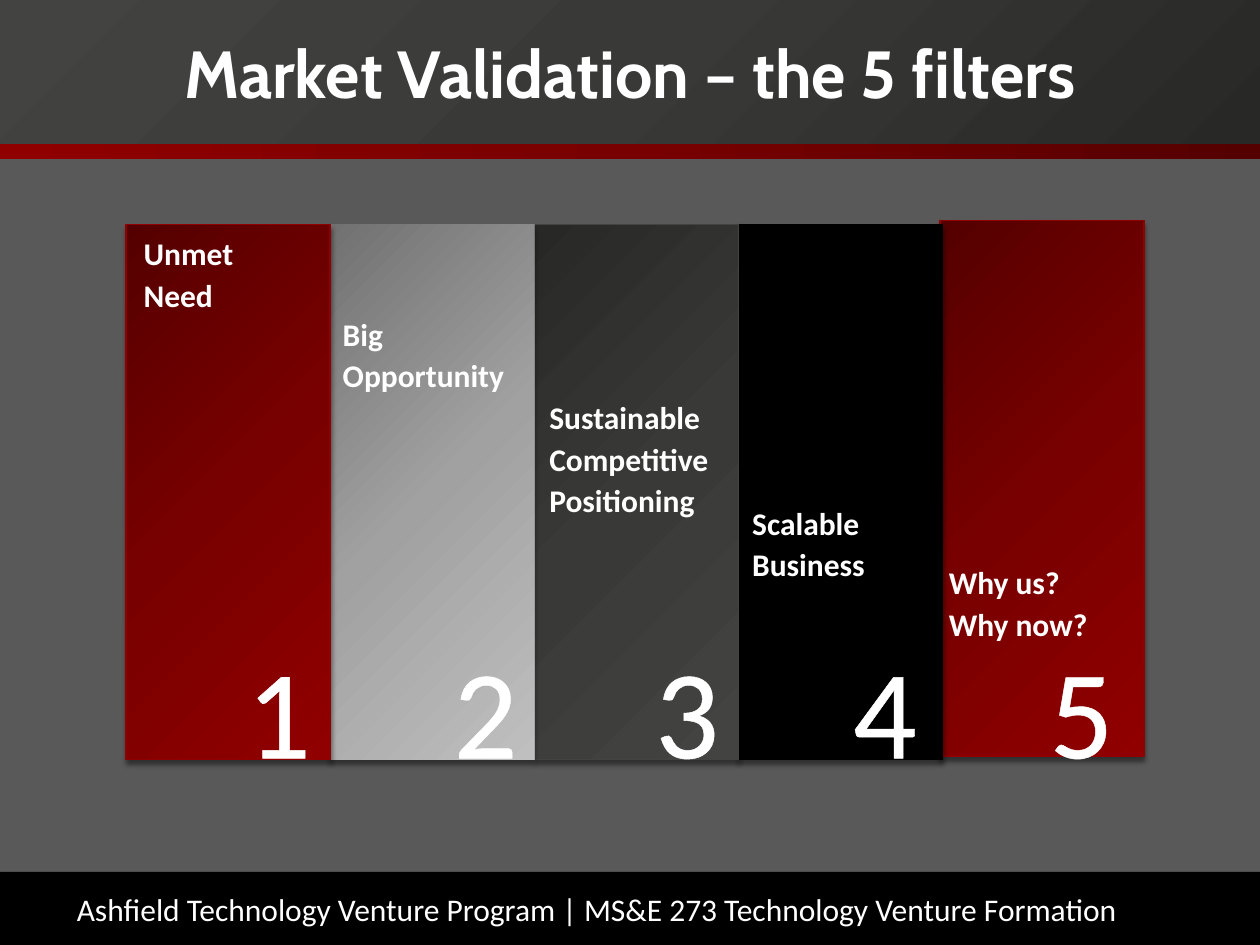
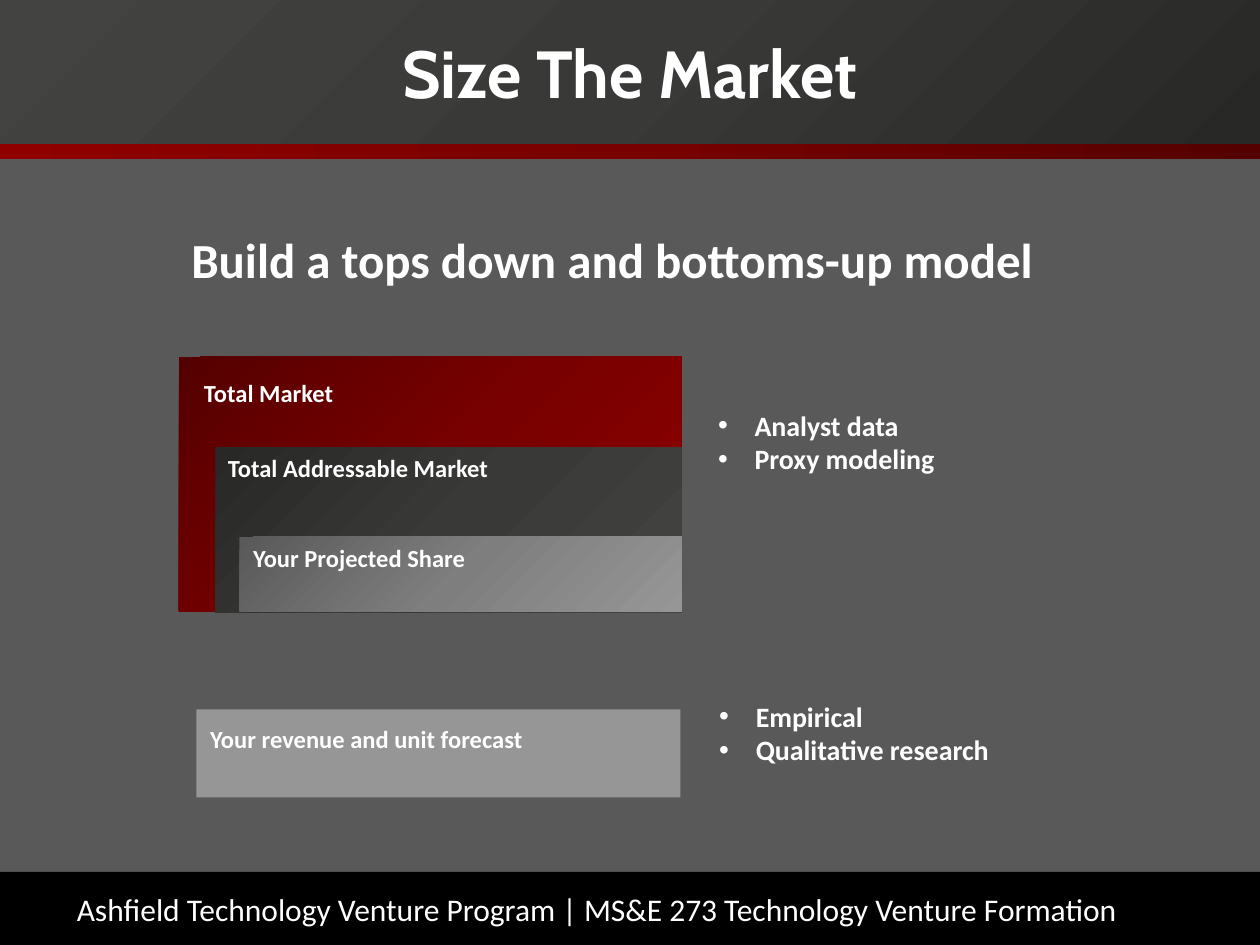
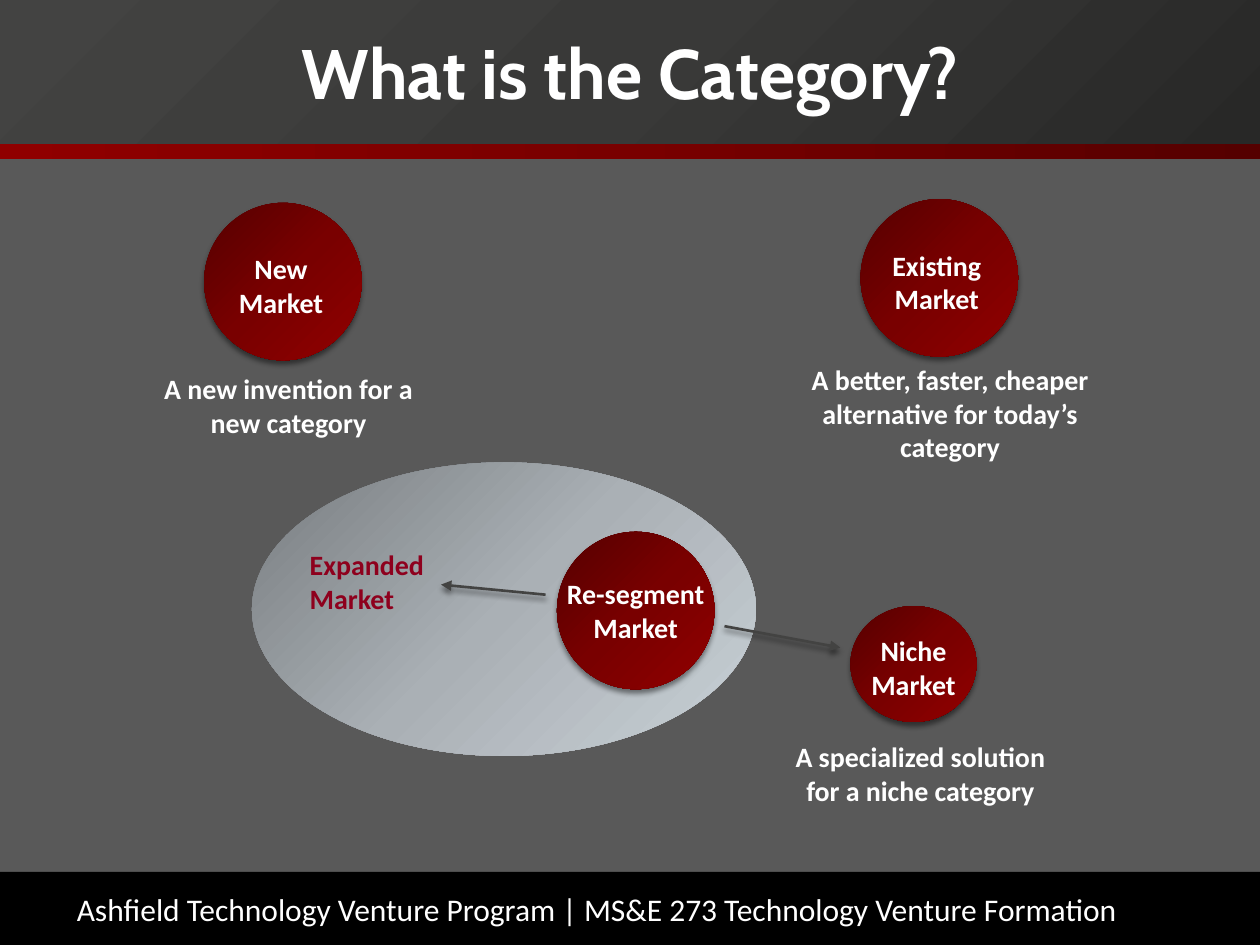
from dataclasses import dataclass

from pptx import Presentation
from pptx.dml.color import RGBColor
from pptx.enum import shapes, text
from pptx.oxml import ns, parse_xml
from pptx.util import Inches, Pt


@dataclass(frozen=True)
class Theme:
    # Colours; a tuple is a three-stop gradient
    page: str = "595959"
    white: str = "FFFFFF"
    black: str = "000000"
    wine: str = "8E001D"
    edge_red: str = "900000"
    charcoal: str = "434342"
    silver: str = "969696"
    reds: tuple = ("550000", "790000", "900000")
    darks: tuple = ("282827", "393938", "434342")
    lights: tuple = ("717171", "A1A1A1", "BFBFBF")
    greys: tuple = ("595959", "7E7E7E", "969696")
    mists: tuple = ("777C7F", "AAB0B5", "C9D1D7")
    # Fonts and type sizes
    heading_font: str = "Cabin"
    body_font: str = "Calibri"
    title: int = 38
    big_title: int = 40
    number: int = 72
    lead: int = 28
    label: int = 18
    body: int = 16
    small: int = 14


T = Theme()
RECT, OVAL = shapes.MSO_SHAPE.RECTANGLE, shapes.MSO_SHAPE.OVAL
LEFT, CENTER = text.PP_ALIGN.LEFT, text.PP_ALIGN.CENTER
MIDDLE = text.MSO_ANCHOR.MIDDLE
FOOTER = "Ashfield Technology Venture Program | MS&E 273 Technology Venture Formation"


# Formatting helpers
def apply(target, values):
    for key, value in values.items():
        setattr(target, key, value)


def rgb(code):
    return RGBColor.from_string(code)


def xml(markup):
    tag, rest = markup.split(" ", 1)
    return parse_xml(f"{tag} {ns.nsdecls('a')} {rest}")


def paint(fill, colours, angle=315):
    if isinstance(colours, str):
        fill.solid()
        fill.fore_color.rgb = rgb(colours)
        return
    fill.gradient()
    fill.gradient_angle = angle


def set_stops(shape, colours):
    stops = shape.element.spPr.find(".//" + ns.qn("a:gsLst"))
    for stop in list(stops):
        stops.remove(stop)
    for i, code in enumerate(colours):
        stops.append(xml(f'<a:gs pos="{i * 50000}"><a:srgbClr val="{code}"/></a:gs>'))


def drop_shadow():
    return xml(f'<a:outerShdw blurRad="{Pt(3)}" dist="{Pt(2.4)}" dir="5400000" rotWithShape="0">'
               f'<a:srgbClr val="{T.black}"><a:alpha val="45000"/></a:srgbClr></a:outerShdw>')


# Element builders
def block(slide, box, colours, kind=RECT, edge=None, shadow=False, angle=315):
    shape = slide.shapes.add_shape(kind, *map(Inches, box))
    paint(shape.fill, colours, angle)
    if isinstance(colours, tuple):
        set_stops(shape, colours)
    if edge:
        shape.line.color.rgb = rgb(edge)
        shape.line.width = Pt(0.79)
    else:
        shape.line.fill.background()
    shape.shadow.inherit = False
    if shadow:
        shape.element.spPr.find(ns.qn("a:effectLst")).append(drop_shadow())
    return shape


def write(frame, words, size, bold=True, colour=T.white, font=T.body_font,
          align=LEFT, spacing=None, bullets=False, outline=False):
    for i, line in enumerate(words.split("\n")):
        para = frame.add_paragraph() if i else frame.paragraphs[0]
        apply(para, {"alignment": align, "line_spacing": spacing})
        run = para.add_run()
        run.text = line
        apply(run.font, {"size": Pt(size), "bold": bold, "name": font})
        run.font.color.rgb = rgb(colour)
        if outline:
            run.font.fill  # rPr already exists; the outline goes before its fill
            run.font._element.insert(0, xml(
                f'<a:ln w="{Pt(1.45)}"><a:solidFill><a:srgbClr val="{colour}"/>'
                '</a:solidFill></a:ln>'))
        if bullets:
            props = para._p.get_or_add_pPr()
            props.set("marL", str(Inches(0.29)))
            props.set("indent", str(-Inches(0.29)))
            props.append(xml('<a:buFont typeface="Arial"/>'))
            props.append(xml('<a:buChar char="•"/>'))


def caption(slide, box, words, size, wrap=False, inset=None, anchor=None, **style):
    frame = slide.shapes.add_textbox(*map(Inches, box)).text_frame
    apply(frame, {"word_wrap": wrap, "vertical_anchor": anchor})
    if anchor is None:
        frame.auto_size = text.MSO_AUTO_SIZE.SHAPE_TO_FIT_TEXT
    if inset is not None:
        apply(frame, {f"margin_{side}": Inches(inset)
                      for side in ("left", "top", "right", "bottom")})
    write(frame, words, size, **style)


def arrow(slide, start, end):
    line = slide.shapes.add_connector(shapes.MSO_CONNECTOR.STRAIGHT,
                                      *map(Inches, start + end))
    line.line.color.rgb = rgb(T.charcoal)
    line.line.width = Pt(1.5)
    props = line.element.spPr
    props.find(ns.qn("a:ln")).append(xml('<a:tailEnd type="triangle"/>'))
    effects = xml("<a:effectLst />")
    effects.append(drop_shadow())
    props.append(effects)


def new_slide(prs):
    slide = prs.slides.add_slide(prs.slide_layouts[6])
    footer = block(slide, (0, 6.92, 10, 0.59), T.black).text_frame
    apply(footer, {"margin_left": Inches(0.61), "vertical_anchor": MIDDLE})
    write(footer, FOOTER, T.label, bold=False)
    block(slide, (0, 0.46, 10, 0.8), T.reds[::-1], angle=0)
    block(slide, (0, 0, 10, 1.14), T.darks[::-1])
    return slide


def heading(slide, words, size=T.title):
    caption(slide, (0.25, 0.03, 9.5, 1.08), words, size, wrap=True, anchor=MIDDLE,
            font=T.heading_font, align=CENTER)


# Slides
def five_filters(prs):
    slide = new_slide(prs)
    # colours, edge, panel left and top, number left, label box, label
    filters = [
        (T.reds, T.edge_red, 1, 1.78, 1.91, (1.09, 1.78, 2.5, 0.75), "Unmet\nNeed"),
        (T.lights, None, 2.62, 1.78, 3.55, (2.67, 2.42, 1.39, 0.75), "Big\nOpportunity"),
        (T.darks, T.charcoal, 4.24, 1.78, 5.15, (4.31, 3.08, 1.43, 1.1),
         "Sustainable\nCompetitive\nPositioning"),
        (T.black, T.black, 5.86, 1.78, 6.72, (5.92, 3.92, 1, 0.77), "Scalable\nBusiness"),
        (T.reds, T.edge_red, 7.46, 1.75, 8.28, (7.48, 4.39, 1.21, 0.77),
         "Why us?\nWhy now?"),
    ]
    for colours, edge, left, top, *_ in reversed(filters):
        block(slide, (left, top, 1.62, 4.25), colours, edge=edge, shadow=True)
    heading(slide, "Market Validation – the 5 filters")
    for number, (*_, number_left, label_box, label) in enumerate(filters, 1):
        caption(slide, (number_left, 4.85, 0.64, 1.43), str(number), T.number,
                inset=0.05, bold=False, spacing=1.1, outline=True)
        caption(slide, label_box, label, T.label, wrap=number == 1, inset=0.05, spacing=1.1)


def market_size(prs):
    slide = new_slide(prs)
    heading(slide, "Size The Market")
    caption(slide, (1.42, 1.77, 8.08, 0.57), "Build a tops down and bottoms-up model",
            T.lead, wrap=True)
    # Nested market levels, then the bottoms-up forecast
    levels = [
        ((1.42, 2.83, 3.99, 2.02), T.reds, (1.52, 2.95, 1.24, 0.34), "Total Market"),
        ((1.71, 3.55, 3.7, 1.31), T.darks, (1.71, 3.55, 2.28, 0.34),
         "Total Addressable Market"),
        ((1.9, 4.26, 3.51, 0.59), T.greys, (1.91, 4.26, 3.31, 0.33),
         "Your Projected Share"),
        ((1.56, 5.63, 3.84, 0.7), T.silver, (1.57, 5.7, 3.81, 0.33),
         "Your revenue and unit forecast"),
    ]
    for box, colours, label_box, label in levels:
        block(slide, box, colours)
        caption(slide, label_box, label, T.small, wrap=label_box[2] > 3)
    # Sources for each model
    for box, sources in [
        ((5.6, 3.19, 3.32, 0.64), "Analyst data\nProxy modeling"),
        ((5.61, 5.5, 3.64, 0.63), "Empirical\nQualitative research"),
    ]:
        caption(slide, box, sources, T.body, wrap=True, bullets=True)


def category(prs):
    slide = new_slide(prs)
    heading(slide, "What is the Category?", T.big_title)
    block(slide, (2, 3.67, 4, 2.33), T.mists, OVAL)
    caption(slide, (2.36, 4.3, 1.17, 0.64), "Expanded\nMarket", T.body, colour=T.wine)
    # Market circles with their descriptions
    markets = [
        ((6.83, 1.58, 1.25, 1.25), (6.98, 1.92, 0.91, 0.64), "Existing\nMarket",
         (6.25, 2.83, 2.58, 0.91),
         "A better, faster, cheaper alternative for today’s category"),
        ((1.62, 1.61, 1.25, 1.25), (1.79, 1.95, 0.88, 0.64), "New\nMarket",
         (1, 2.9, 2.58, 0.64), "A new invention for a new category"),
        ((6.75, 4.81, 1, 0.92), (6.81, 4.98, 0.88, 0.64), "Niche\nMarket",
         (6.11, 5.82, 2.39, 0.64), "A specialized solution for a niche category"),
    ]
    for circle, name_box, name, note_box, note in markets:
        block(slide, circle, T.reds, OVAL, shadow=True)
        caption(slide, name_box, name, T.body, align=CENTER)
        caption(slide, note_box, note, T.body, wrap=True, align=CENTER)
    # Re-segmented market and where it leads
    arrow(slide, (4.33, 4.72), (3.5, 4.64))
    arrow(slide, (5.75, 4.97), (6.67, 5.14))
    resegment = block(slide, (4.42, 4.22, 1.25, 1.25), T.reds, OVAL, shadow=True).text_frame
    apply(resegment, {"word_wrap": False, "vertical_anchor": MIDDLE})
    write(resegment, "Re-segment\nMarket", T.body, align=CENTER)


def main():
    prs = Presentation()
    apply(prs, {"slide_width": Inches(10), "slide_height": Inches(7.5)})
    paint(prs.slide_master.background.fill, T.page)
    for build in (five_filters, market_size, category):
        build(prs)
    prs.save("out.pptx")


if __name__ == "__main__":
    main()
